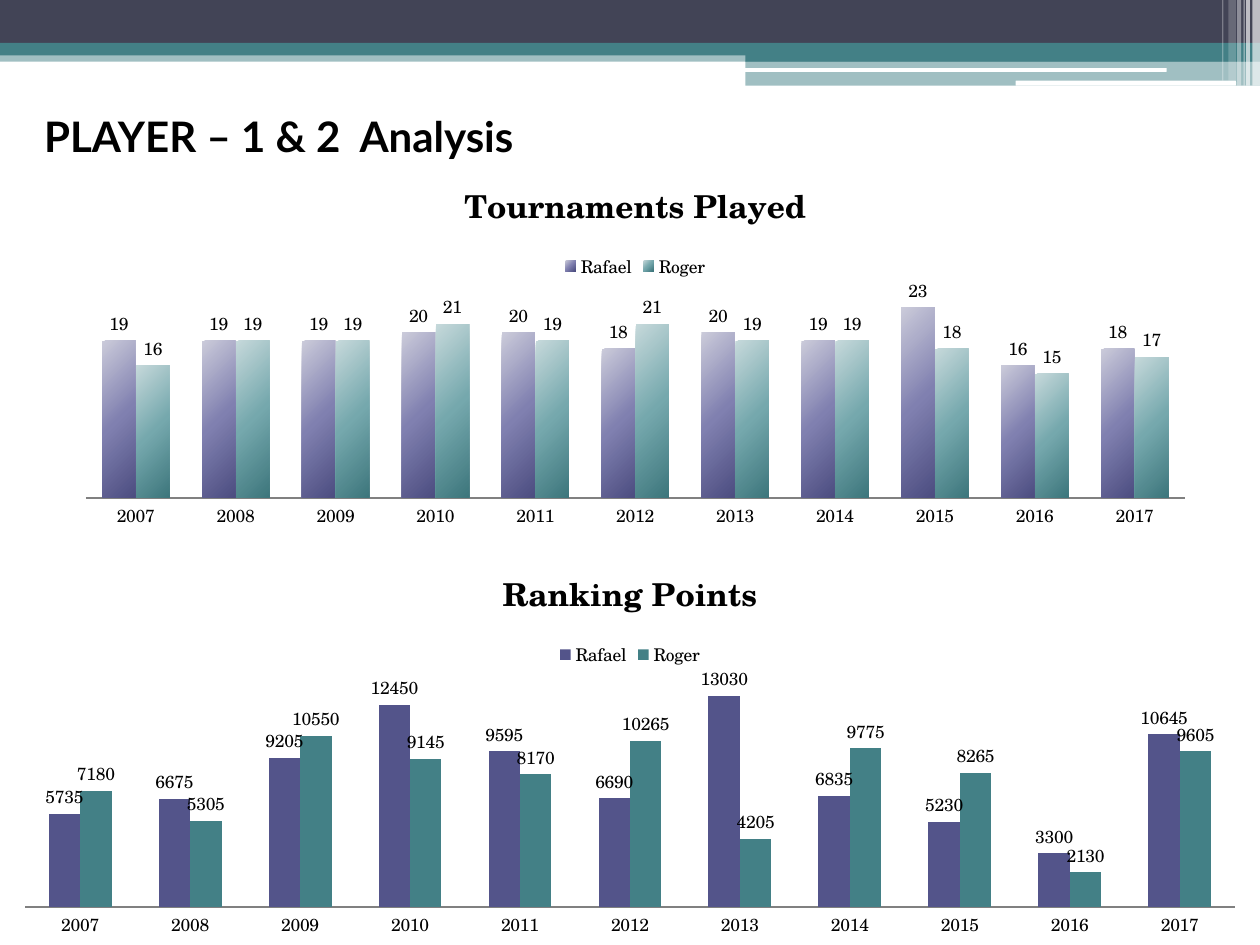
from copy import deepcopy
from lxml.etree import SubElement
from pptx import Presentation
from pptx.chart.data import CategoryChartData
from pptx.dml.color import RGBColor
from pptx.enum.chart import XL_CHART_TYPE, XL_LABEL_POSITION, XL_LEGEND_POSITION, XL_TICK_MARK
from pptx.enum.shapes import MSO_SHAPE
from pptx.enum.text import MSO_ANCHOR, PP_ALIGN
from pptx.oxml.ns import qn
from pptx.util import Pt

BLACK = RGBColor(0, 0, 0)
WHITE = RGBColor(0xFF, 0xFF, 0xFF)
SLATE = RGBColor(0x42, 0x44, 0x56)
TEAL = RGBColor(0x43, 0x80, 0x86)
PURPLE = RGBColor(0x53, 0x54, 0x8A)
GRAY = RGBColor(0x80, 0x80, 0x80)
FADES = [
    [RGBColor(0xCB, 0xCB, 0xDA), RGBColor(0x80, 0x80, 0xB0), RGBColor(0x4C, 0x4D, 0x80)],
    [RGBColor(0xC6, 0xD9, 0xDB), RGBColor(0x75, 0xA8, 0xAD), RGBColor(0x3D, 0x76, 0x7C)],
]
SERIF = "TeX Gyre Schola"

HEAD = "PLAYER – 1 & 2  Analysis"
YEARS = [str(year) for year in range(2007, 2018)]
NAMES = ["Rafael", "Roger"]
POINTS = [
    [5735, 6675, 9205, 12450, 9595, 6690, 13030, 6835, 5230, 3300, 10645],
    [7180, 5305, 10550, 9145, 8170, 10265, 4205, 9775, 8265, 2130, 9605],
]
PLAYED = [
    [19, 19, 19, 20, 20, 18, 20, 19, 23, 16, 18],
    [16, 19, 19, 21, 19, 21, 19, 19, 18, 15, 17],
]
CHARTS = [
    ("Ranking Points", POINTS, (0, 311.8, 720, 228.2), 150, 0, None),
    ("Tournaments Played", PLAYED, (36, 90, 654, 216), 98, -2, FADES),
]

BANDS = [
    (0, 28.8, 720, 6.5, TEAL, 50),
    (0, 0, 720, 24.5, SLATE, 100),
    (0, 24.5, 720, 7.2, TEAL, 100),
    (426, 28.1, 294, 7.2, TEAL, 100),
    (426, 34.6, 294, 14.4, TEAL, 50),
]
PILLS = [(425.5, 38.9, 241.2, 2.2), (580.3, 46.1, 126, 2.9)]
STRIPES = [
    (715.7, 4.3, 49, 65), (712.1, 2.2, 49, 65), (710.6, 0.7, 49, 60),
    (707, 2.2, 49, 40), (702, 4.3, 46.1, 20), (698.4, 0.7, 46.1, 30),
]


def add_bar(slide, box, color, alpha=100, kind=MSO_SHAPE.RECTANGLE):
    bar = slide.shapes.add_shape(kind, *map(Pt, box))
    bar.shadow.inherit = False
    bar.line.fill.background()
    bar.fill.solid()
    bar.fill.fore_color.rgb = color
    if alpha < 100:
        tint = bar._element.spPr.find(".//" + qn("a:srgbClr"))
        SubElement(tint, qn("a:alpha")).set("val", str(alpha * 1000))


def set_font(font, size, bold=False, face=SERIF):
    font.name, font.size, font.bold = face, Pt(size), bold
    font.color.rgb = BLACK


def fade(series, colors):
    fill = series.format.fill
    fill.gradient()
    fill.gradient_angle = 315
    stops = series._element.find(".//" + qn("a:gsLst"))
    stops.insert(1, deepcopy(stops[0]))
    for stop, color, place in zip(fill.gradient_stops, colors, (0, 0.5, 1)):
        stop.color.rgb = color
        stop.position = place


def add_plot(slide, title, rows, box, gap, overlap, fades):
    data = CategoryChartData()
    data.categories = YEARS
    for name, row in zip(NAMES, rows):
        data.add_series(name, row)
    chart = slide.shapes.add_chart(XL_CHART_TYPE.COLUMN_CLUSTERED, *map(Pt, box), data).chart
    set_font(chart.font, 10)
    chart.has_title = True
    run = chart.chart_title.text_frame.paragraphs[0].add_run()
    run.text = title
    set_font(run.font, 18, True)
    chart.chart_title.include_in_layout = False
    chart.has_legend = True
    chart.legend.position = XL_LEGEND_POSITION.TOP
    chart.legend.include_in_layout = False
    axis = chart.category_axis
    axis.major_tick_mark = XL_TICK_MARK.NONE
    axis.format.line.color.rgb = GRAY
    chart.value_axis.visible = False
    chart.value_axis.has_major_gridlines = False
    chart.value_axis.minimum_scale = 0
    plot = chart.plots[0]
    plot.vary_by_categories = False
    plot.gap_width, plot.overlap = gap, overlap
    for i, series in enumerate(plot.series):
        if fades:
            fade(series, fades[i])
        else:
            series.format.fill.solid()
            series.format.fill.fore_color.rgb = (PURPLE, TEAL)[i]
        labels = series.data_labels
        labels.show_value = True
        labels.position = XL_LABEL_POSITION.OUTSIDE_END
        set_font(labels.font, 10)


def add_head(slide):
    head = slide.shapes.title
    head.left, head.top, head.width, head.height = map(Pt, (18, 59.8, 290, 36))
    frame = head.text_frame
    frame.word_wrap = False
    frame.vertical_anchor = MSO_ANCHOR.MIDDLE
    para = frame.paragraphs[0]
    para.alignment = PP_ALIGN.LEFT
    run = para.add_run()
    run.text = HEAD
    set_font(run.font, 24, True, "Lato")


def main():
    deck = Presentation()
    deck.slide_width, deck.slide_height = Pt(720), Pt(540)
    slide = deck.slides.add_slide(deck.slide_layouts[5])
    for *box, color, alpha in BANDS:
        add_bar(slide, box, color, alpha)
    for box in PILLS:
        add_bar(slide, box, WHITE, kind=MSO_SHAPE.ROUNDED_RECTANGLE)
    for left, width, height, alpha in STRIPES:
        add_bar(slide, (left, 0, width, height), WHITE, alpha)
    add_head(slide)
    for item in CHARTS:
        add_plot(slide, *item)
    deck.save("out.pptx")


if __name__ == "__main__":
    main()
